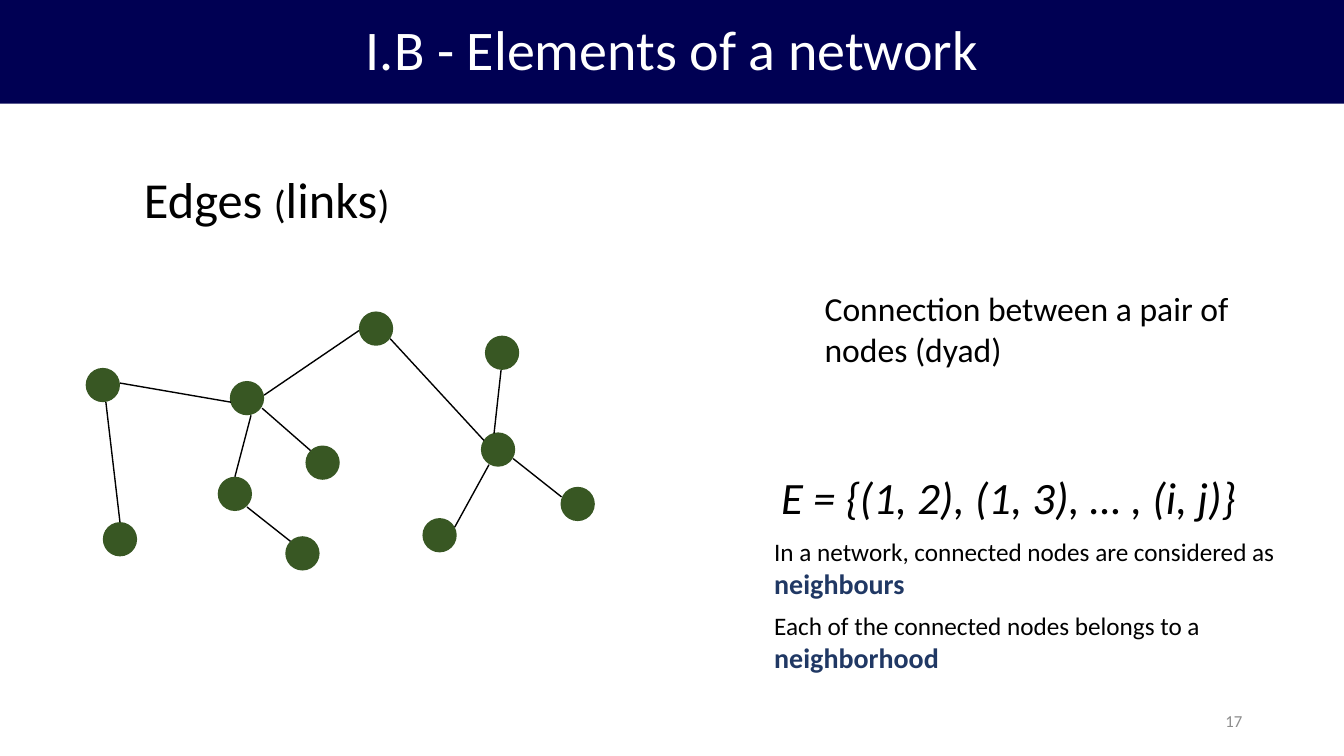
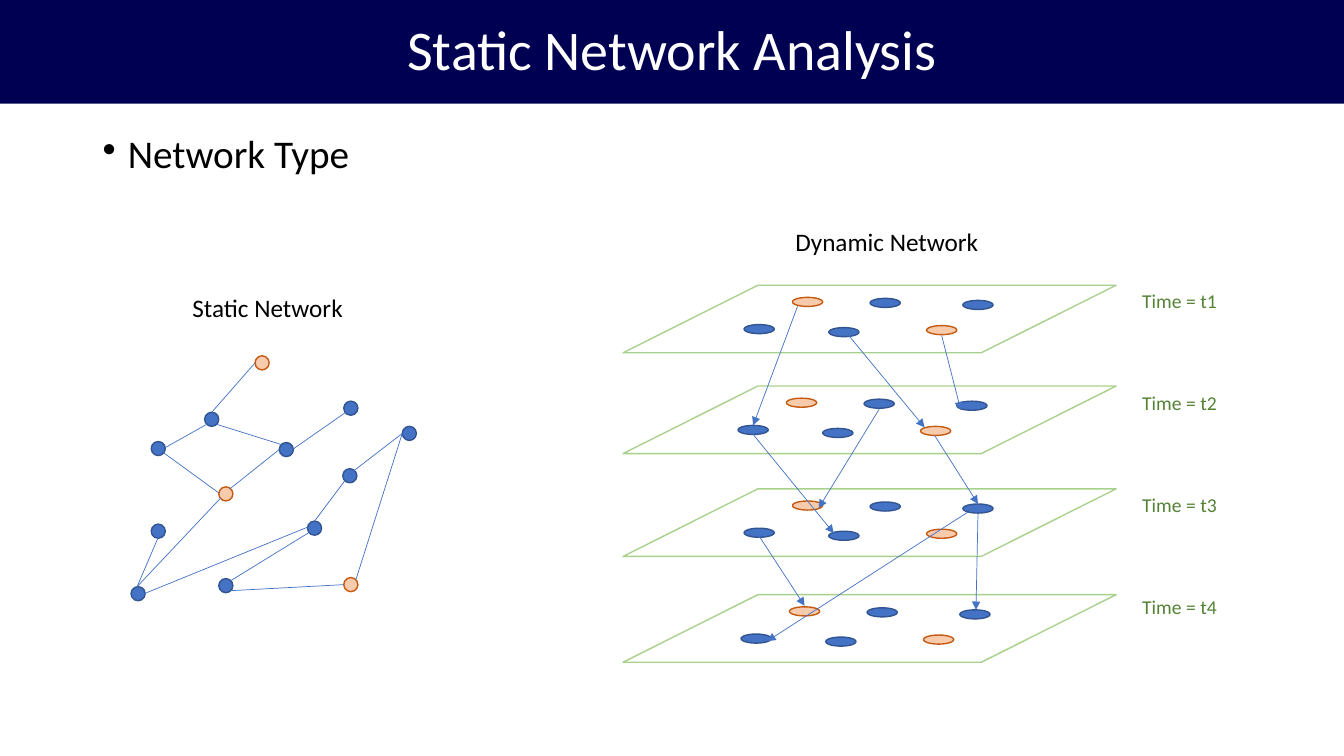
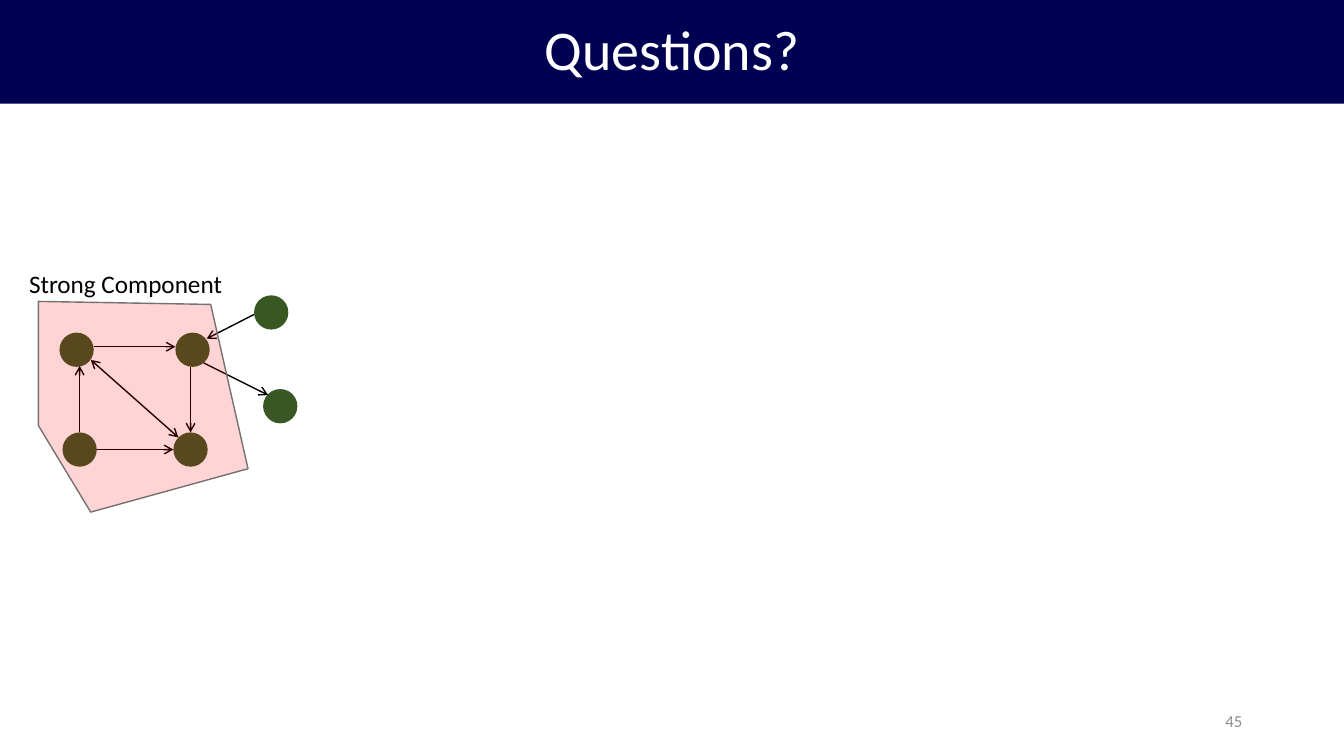
from dataclasses import dataclass

from lxml import etree
from pptx import Presentation
from pptx.dml.color import RGBColor
from pptx.enum.shapes import MSO_CONNECTOR, MSO_SHAPE as SHAPE
from pptx.enum.text import MSO_ANCHOR as ANCHOR, MSO_AUTO_SIZE as AUTO, PP_ALIGN as ALIGN
from pptx.oxml.ns import qn
from pptx.util import Inches, Pt


@dataclass(frozen=True)
class Theme:
    font: str = "Calibri"
    band: str = "000053"
    white: str = "FFFFFF"
    black: str = "000000"
    number: str = "8C8C8C"
    term: str = "203864"
    node: str = "385723"
    blue: str = "4472C4"
    blue_line: str = "325491"
    orange: str = "F8CBAD"
    orange_line: str = "C55A11"
    plane: str = "A9D18E"
    time: str = "548235"
    region: str = "FF0000"
    region_line: str = "767171"
    title_pt: int = 40
    heading_pt: int = 36
    formula_pt: int = 32
    bullet_pt: int = 28
    lead_pt: int = 24
    term_pt: int = 20
    body_pt: int = 18
    time_pt: int = 14
    number_pt: int = 12


T = Theme()
WIDTH, HEIGHT, BAND_H = 13.33, 7.5, 1.03
NODE_D, DOT_D = 0.34, 0.14

# Slide 1: nodes (left, top), edges (from, to), sentences ending in a key term
EDGE_NODES = [(2.16, 4.73), (2.83, 5.32), (4.19, 5.14), (4.77, 4.29), (2.28, 3.78), (0.85, 3.65),
              (1.02, 5.18), (3.03, 4.42), (3.56, 3.09), (4.81, 3.33), (5.56, 4.83)]
EDGES = [((1.19, 3.8), (2.29, 3.99)), ((1.05, 3.99), (1.19, 5.18)), ((2.49, 4.12), (2.33, 4.73)),
         ((2.6, 4.05), (3.08, 4.47)), ((2.62, 3.92), (3.56, 3.28)), ((2.45, 5.03), (2.88, 5.37)),
         ((3.87, 3.36), (4.8, 4.37)), ((4.51, 5.23), (4.85, 4.61)), ((4.97, 3.67), (4.9, 4.3)),
         ((5.09, 4.55), (5.57, 4.93))]
DEFINITIONS = [("In a network, connected nodes are considered as ", "neighbours"),
               ("Each of the connected nodes belongs to a ", "neighborhood")]

# Slide 2: static network
STATIC_BLUE = [(1.5, 4.38), (1.5, 5.2), (2.03, 4.09), (3.05, 5.17), (2.17, 5.74), (2.77, 4.39),
               (3.4, 4.65), (1.3, 5.82), (3.99, 4.23), (3.41, 3.98)]
STATIC_ORANGE = [(2.53, 3.53), (2.17, 4.83), (3.41, 5.73)]
STATIC_LINKS = [((2.1, 4.09), (2.53, 3.6)), ((2.17, 4.89), (1.62, 4.49)), ((2.28, 4.85), (2.77, 4.46)),
                ((2.9, 4.46), (3.43, 4.09)), ((1.36, 5.82), (2.19, 4.94)), ((1.36, 5.82), (1.57, 5.33)),
                ((3.12, 5.17), (3.42, 4.77)), ((2.29, 5.76), (3.07, 5.28)), ((1.43, 5.89), (3.05, 5.23)),
                ((2.29, 5.86), (3.41, 5.8)), ((3.53, 5.75), (3.99, 4.3)), ((1.64, 4.44), (2.05, 4.21)),
                ((2.79, 4.41), (2.15, 4.21)), ((3.51, 4.67), (3.99, 4.3))]

# Slide 2: dynamic network; each layer has a plane top and a sideways shift of its nodes
LAYERS = [("Time = t1", 2.83, 0), ("Time = t2", 3.83, -0.06),
          ("Time = t3", 4.85, 0), ("Time = t4", 5.9, -0.03)]
LAYER_BLUE = [(7.38, 0.39), (8.63, 0.13), (8.22, 0.42), (9.55, 0.15)]
LAYER_ORANGE = [(7.86, 0.12), (9.19, 0.4)]
TIME_LINKS = [((7.91, 3.04), (7.47, 4.22)), ((8.37, 3.27), (9.17, 4.24)), ((7.47, 4.31), (8.27, 5.29)),
              ((8.72, 4.06), (8.12, 5.04)), ((9.6, 5.08), (7.61, 6.36)), ((9.7, 5.09), (9.68, 6.05)),
              ((9.27, 4.32), (9.7, 5)), ((9.34, 3.33), (9.53, 4.07)), ((7.53, 5.32), (7.98, 6.01))]

# Slide 3: directed network and the outline of its strong component
STRONG_NODES = [(1.72, 4.29), (1.74, 3.3), (0.59, 3.3), (0.62, 4.29), (2.61, 3.86), (2.52, 2.93)]
ONE_WAY = [((0.93, 3.44), (1.74, 3.44)), ((0.79, 4.29), (0.79, 3.63)), ((1.89, 3.64), (1.89, 4.29)),
           ((2.02, 3.6), (2.66, 3.92)), ((2.52, 3.12), (2.05, 3.36)), ((0.96, 4.46), (1.72, 4.46))]
TWO_WAY = ((1.77, 4.34), (0.9, 3.57))
REGION = [(0.38, 4.22), (0.38, 2.99), (2.09, 3.02), (2.46, 4.65), (0.9, 5.08)]


# Shared helpers
def rgb(value):
    return RGBColor.from_string(value)


def style_shape(sp, fill=None, line=None):
    sp.shadow.inherit = False
    if fill:
        sp.fill.solid()
        sp.fill.fore_color.rgb = rgb(fill)
    else:
        sp.fill.background()
    if line:
        sp.line.color.rgb = rgb(line)
        sp.line.width = Pt(1)
    else:
        sp.line.fill.background()
    return sp


def add_preset(s, kind, at, fill=None, line=None):
    return style_shape(s.shapes.add_shape(kind, *map(Inches, at)), fill, line)


def add_nodes(s, places, fill=T.node, line=None, size=(NODE_D, NODE_D)):
    for place in places:
        add_preset(s, SHAPE.OVAL, (*place, *size), fill, line)


def add_links(s, links, color=T.black, width=1, head=None, tail=None):
    for start, end in links:
        c = s.shapes.add_connector(MSO_CONNECTOR.STRAIGHT, *map(Inches, (*start, *end)))
        c.line.color.rgb = rgb(color)
        c.line.width = Pt(width)
        props = c.element.spPr
        for tag, kind in (("a:headEnd", head), ("a:tailEnd", tail)):
            if kind:
                etree.SubElement(props.find(qn("a:ln")), qn(tag), type=kind)
        etree.SubElement(props, qn("a:effectLst"))


def set_font(font, size, color, bold=None, italic=None):
    font.name, font.size, font.bold, font.italic = T.font, Pt(size), bold, italic
    font.color.rgb = rgb(color)


def add_text(s, at, text, size, color=T.black, wrap=True, italic=None):
    """Text is one string, or a list of runs (text, size, color, bold)."""
    tf = s.shapes.add_textbox(*map(Inches, at)).text_frame
    tf.word_wrap = wrap
    tf.auto_size = AUTO.SHAPE_TO_FIT_TEXT
    p = tf.paragraphs[0]
    if isinstance(text, str):
        p.text = text
        set_font(p.font, size, color, italic=italic)
    else:
        for words, *look in text:
            r = p.add_run()
            r.text = words
            set_font(r.font, *look)
    return tf


def add_slide(prs, title, number=None):
    s = prs.slides.add_slide(prs.slide_layouts[6])
    tf = add_preset(s, SHAPE.RECTANGLE, (0, 0, WIDTH, BAND_H), T.band).text_frame
    tf.vertical_anchor = ANCHOR.MIDDLE
    p = tf.paragraphs[0]
    p.text, p.alignment, p.line_spacing = title, ALIGN.CENTER, 0.9
    set_font(p.font, T.title_pt, T.white)
    if number:
        tf = add_text(s, (9.42, 6.95, 3, 0.4), number, T.number_pt, T.number)
        tf.auto_size, tf.vertical_anchor = AUTO.NONE, ANCHOR.MIDDLE
        tf.paragraphs[0].alignment = ALIGN.RIGHT
    return s


# Slides
def build_edges(prs):
    s = add_slide(prs, "I.B - Elements of a network", "17")
    parts = [("Edges ", T.heading_pt), ("(", T.bullet_pt), ("links", T.heading_pt), (")", T.bullet_pt)]
    add_text(s, (1.33, 1.62, 2.66, 0.71), [(*part, T.black) for part in parts], T.heading_pt, wrap=False)
    add_nodes(s, EDGE_NODES)
    add_links(s, EDGES)
    add_text(s, (8.08, 2.81, 4.88, 0.91), "Connection between a pair of nodes (dyad)", T.lead_pt)
    add_text(s, (7.65, 4.61, 4.77, 0.64), "E = {(1, 2), (1, 3), … , (i, j)}", T.formula_pt,
             wrap=False, italic=True)
    for i, (lead, term) in enumerate(DEFINITIONS):
        runs = [(lead, T.body_pt, T.black), (term, T.term_pt, T.term, True)]
        add_text(s, (7.58, 5.27 + 0.74 * i, 5.39, 0.74), runs, T.body_pt)


def build_types(prs):
    s = add_slide(prs, "Static Network Analysis")

    # Bullet heading
    tf = add_text(s, (0.92, 1.29, 11.5, 0.53), "Network Type", T.bullet_pt)
    tf.auto_size = AUTO.NONE
    p = tf.paragraphs[0]
    p.line_spacing = 0.9
    props = p._p.get_or_add_pPr()
    props.set("marL", str(Inches(0.25)))
    props.set("indent", str(-Inches(0.25)))
    bullet = etree.Element(qn("a:buChar"), char="•")
    props.find(qn("a:defRPr")).addprevious(bullet)

    # Static network
    add_text(s, (1.81, 2.85, 2.52, 0.4), "Static Network", T.body_pt)
    dot = (DOT_D, DOT_D)
    add_nodes(s, STATIC_BLUE, T.blue, T.blue_line, dot)
    add_nodes(s, STATIC_ORANGE, T.orange, T.orange_line, dot)
    add_links(s, STATIC_LINKS, T.blue, 0.5)

    # Dynamic network
    add_text(s, (7.79, 2.2, 2.52, 0.4), "Dynamic Network", T.body_pt)
    for i, (label, top, shift) in enumerate(LAYERS):
        plane = add_preset(s, SHAPE.PARALLELOGRAM, (6.18, top, 4.89, 0.67), line=T.plane)
        plane.adjustments[0] = 1.995
        for places, fill, line in ((LAYER_BLUE, T.blue, T.blue_line),
                                   (LAYER_ORANGE, T.orange, T.orange_line)):
            add_nodes(s, [(x + shift, top + y) for x, y in places], fill, line, (0.3, 0.09))
        add_text(s, (11.23, 2.82 + 1.01 * i, 1.48, 0.34), label, T.time_pt, T.time)
    add_links(s, TIME_LINKS, T.blue, 0.5, tail="triangle")


def build_questions(prs):
    s = add_slide(prs, "Questions?", "45")
    add_nodes(s, STRONG_NODES)
    add_links(s, ONE_WAY, tail="arrow")
    add_links(s, [TWO_WAY], head="arrow", tail="arrow")

    # Translucent outline over the component
    start, *corners = [(Inches(x), Inches(y)) for x, y in REGION]
    outline = s.shapes.build_freeform(*start)
    outline.add_line_segments(corners, close=True)
    region = style_shape(outline.convert_to_shape(), T.region, T.region_line)
    color = region.element.spPr.find(qn("a:solidFill")).find(qn("a:srgbClr"))
    etree.SubElement(color, qn("a:alpha"), val="17000")
    add_text(s, (0.19, 2.61, 2.14, 0.4), "Strong Component", T.body_pt, wrap=False)


def main():
    prs = Presentation()
    prs.slide_width, prs.slide_height = Inches(WIDTH), Inches(HEIGHT)
    for build in (build_edges, build_types, build_questions):
        build(prs)
    prs.save("out.pptx")


if __name__ == "__main__":
    main()
